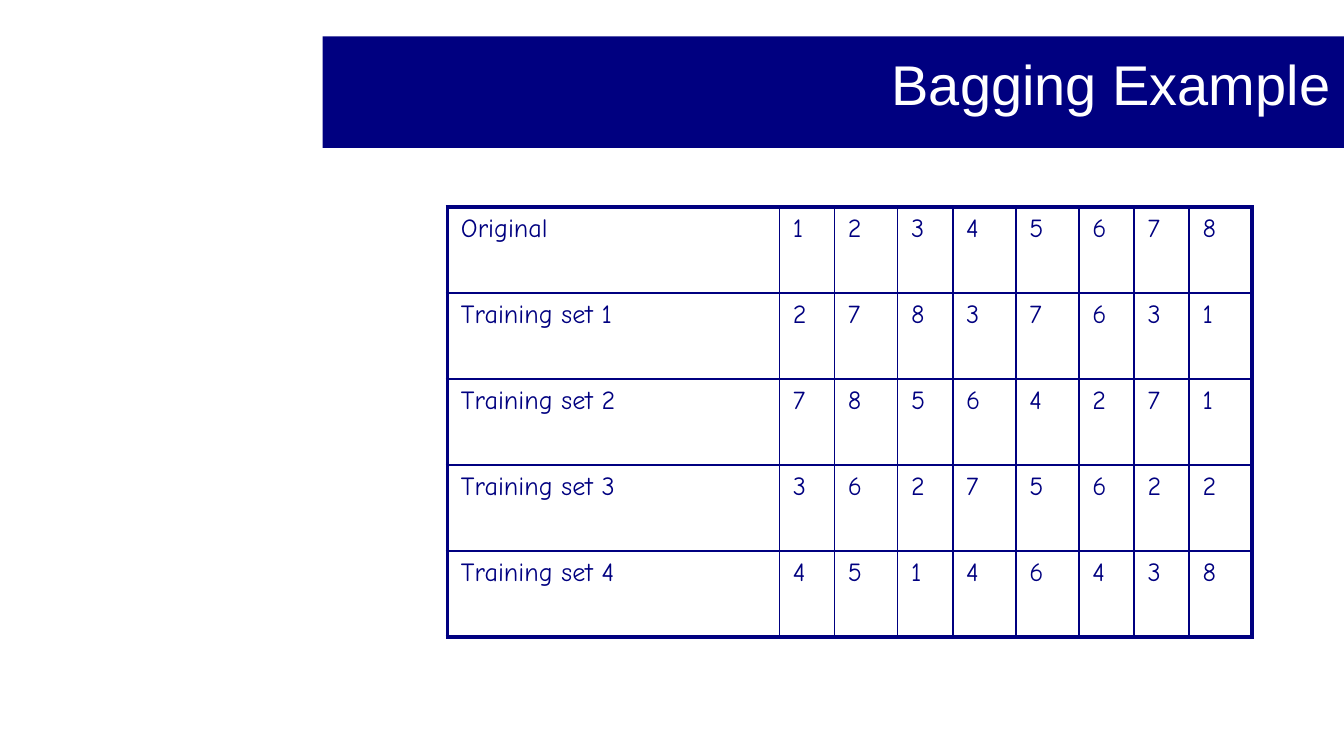
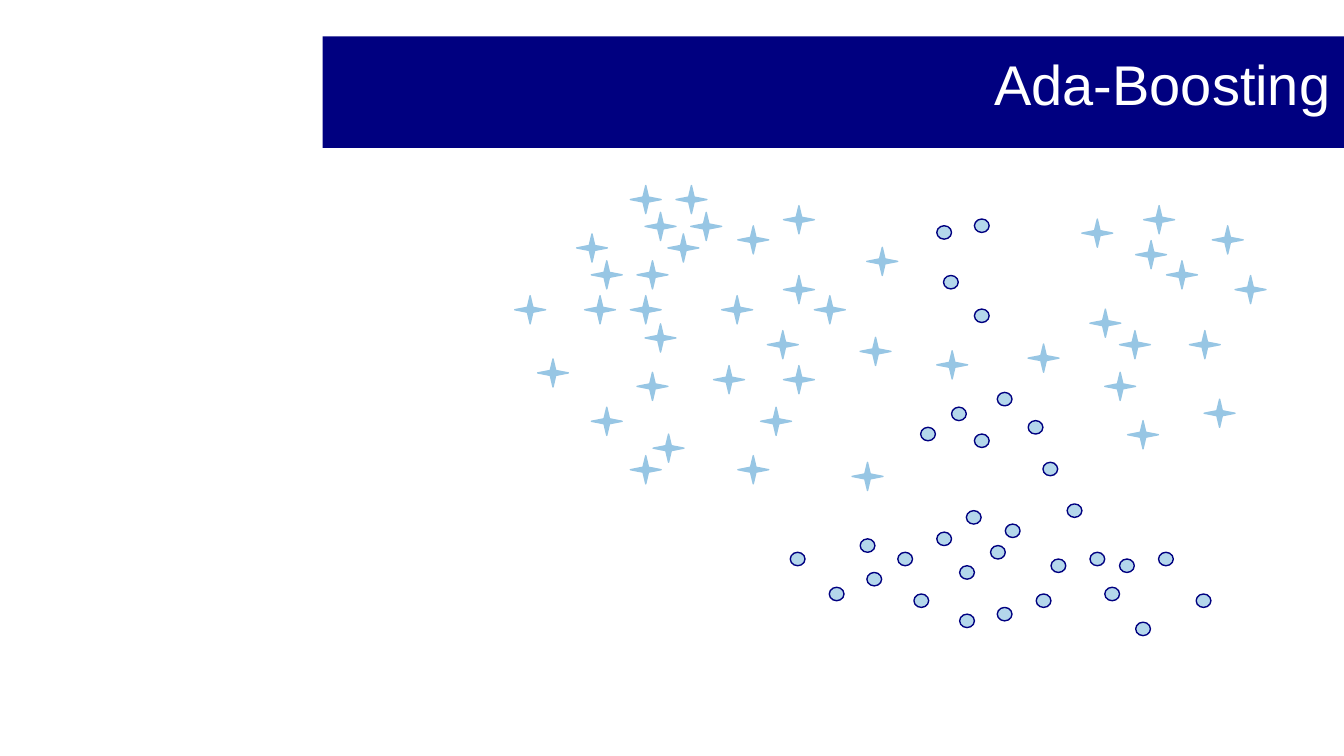
from dataclasses import dataclass

from lxml import etree
from pptx import Presentation
from pptx import util as u
from pptx.dml.color import RGBColor
from pptx.enum import shapes, text
from pptx.oxml import ns


@dataclass(frozen=True)
class Theme:
    navy: str = "000080"
    white: str = "FFFFFF"
    dot_blue: str = "B4D7EB"
    star_blue: str = "97C6E4"
    title_font: str = "Arial"
    body_font: str = "Comic Neue"
    title_size: float = 30
    body_size: float = 14
    thin: float = 1
    thick: float = 2.25
    outline: float = 0.75


def write_text(frame, content, *, font, size, color,
               align=text.PP_ALIGN.LEFT, before=0, spacing=None):
    """Put one formatted paragraph into a text frame."""
    paragraph = frame.paragraphs[0]
    paragraph.alignment = align
    paragraph.space_before = u.Pt(before)
    if spacing:
        paragraph.line_spacing = spacing
    run = paragraph.add_run()
    run.text = content
    run.font.name = font
    run.font.size = u.Pt(size)
    run.font.color.rgb = RGBColor.from_string(color)


class Deck:
    def __init__(self, theme):
        self.theme = theme
        self.presentation = Presentation()
        # Widescreen, 16 to 9
        self.presentation.slide_width = u.Inches(10)
        self.presentation.slide_height = u.Inches(10 * 9 / 16)
        self.slide = None

    def add_slide(self, title):
        """Start a slide with its title band."""
        layout = self.presentation.slide_layouts.get_by_name("Title Only")
        self.slide = self.presentation.slides.add_slide(layout)
        band = self.slide.shapes.title
        band.left, band.top = u.Inches(2.4), u.Inches(0.27)
        band.width, band.height = u.Inches(7.6), u.Inches(0.83)
        band.fill.solid()
        band.fill.fore_color.rgb = RGBColor.from_string(self.theme.navy)
        frame = band.text_frame
        frame.word_wrap = True
        frame.auto_size = text.MSO_AUTO_SIZE.NONE
        frame.vertical_anchor = text.MSO_ANCHOR.MIDDLE
        frame.margin_left = frame.margin_right = frame.margin_top = u.Inches(0.1)
        frame.margin_bottom = u.Inches(0.17)
        write_text(frame, title, font=self.theme.title_font,
                   size=self.theme.title_size, color=self.theme.white,
                   align=text.PP_ALIGN.RIGHT, spacing=0.9)

    def add_border(self, cell, side, width):
        properties = cell._tc.get_or_add_tcPr()
        line = etree.SubElement(properties, ns.qn(f"a:ln{side}"), w=str(u.Pt(width)))
        fill = etree.SubElement(line, ns.qn("a:solidFill"))
        etree.SubElement(fill, ns.qn("a:srgbClr"), val=self.theme.navy)

    def add_table(self, rows, left, top, column_widths, row_height):
        """Draw a grid with thin inner lines and a thick frame."""
        last_row, last_column = len(rows) - 1, len(column_widths) - 1
        table = self.slide.shapes.add_table(
            len(rows), len(column_widths), u.Inches(left), u.Inches(top),
            u.Inches(sum(column_widths)), u.Inches(row_height * len(rows))).table
        table.first_row = table.horz_banding = False
        for column, width in zip(table.columns, column_widths):
            column.width = u.Inches(width)
        for i, row in enumerate(rows):
            table.rows[i].height = u.Inches(row_height)
            for j, value in enumerate(row):
                cell = table.cell(i, j)
                write_text(cell.text_frame, str(value), font=self.theme.body_font,
                           size=self.theme.body_size, color=self.theme.navy,
                           before=0.2 * self.theme.body_size)
                on_frame = {"L": j == 0, "R": j == last_column,
                            "T": i == 0, "B": i == last_row}
                for side, outer in on_frame.items():
                    self.add_border(cell, side,
                                    self.theme.thick if outer else self.theme.thin)
                cell.fill.background()

    def add_group(self):
        return self.slide.shapes.add_group_shape()

    def add_markers(self, group, kind, points, size, fill, line, adjustment=None):
        """Scatter equal shapes, given their top left corners."""
        width, height = size
        for left, top in points:
            shape = group.shapes.add_shape(kind, u.Inches(left), u.Inches(top),
                                           u.Inches(width), u.Inches(height))
            shape.shadow.inherit = False
            shape.fill.solid()
            shape.fill.fore_color.rgb = RGBColor.from_string(fill)
            shape.line.color.rgb = RGBColor.from_string(line)
            shape.line.width = u.Pt(self.theme.outline)
            if adjustment is not None:
                shape.adjustments[0] = adjustment


SAMPLES = [
    ("Original", 1, 2, 3, 4, 5, 6, 7, 8),
    ("Training set 1", 2, 7, 8, 3, 7, 6, 3, 1),
    ("Training set 2", 7, 8, 5, 6, 4, 2, 7, 1),
    ("Training set 3", 3, 6, 2, 7, 5, 6, 2, 2),
    ("Training set 4", 4, 5, 1, 4, 6, 4, 3, 8),
]

DOTS = [
    (6.4, 4.01), (6.45, 4.26), (7.25, 2.3), (7.76, 3.44), (7.48, 3.9),
    (7.14, 4.21), (7.42, 2.92), (7.37, 4.06), (6.97, 3.96), (6.85, 3.18),
    (5.88, 4.11), (6.8, 4.42), (7.25, 3.23), (7.14, 4.57), (6.17, 4.37),
    (7.42, 4.52), (7.08, 3.03), (7.82, 4.16), (7.94, 3.75), (8.11, 4.11),
    (8.33, 4.16), (8.22, 4.37), (8.62, 4.11), (7.02, 2.05), (7.71, 4.42),
    (7.25, 1.63), (6.68, 4.11), (7.19, 3.8), (7.65, 3.13), (8.45, 4.63),
    (6.97, 1.68), (8.9, 4.42),
]

STARS = [
    (8.33, 2.46), (8.11, 2.3), (7.65, 2.56), (8.85, 2.46), (5.83, 2.72),
    (5.37, 2.2), (6.97, 2.61), (5.31, 2.72), (8.39, 3.13), (8.22, 2.77),
    (4.74, 2.77), (4.35, 2.2), (4, 2.67), (4.69, 2.2), (4.8, 2.41),
    (4.97, 1.74), (5.49, 1.68), (5.83, 2.05), (5.03, 1.38), (5.14, 1.58),
    (6.06, 2.2), (4.29, 1.74), (4.4, 1.94), (6.4, 2.51), (4.74, 1.94),
    (8.68, 1.94), (5.66, 3.03), (4.69, 1.38), (4.8, 1.58), (8.51, 1.53),
    (6.34, 3.44), (6.45, 1.84), (5.49, 3.39), (5.71, 2.46), (8.45, 1.79),
    (5.83, 1.53), (8.05, 1.63), (3.83, 2.2), (4.69, 3.39), (9.02, 1.68),
    (4.4, 3.03), (9.19, 2.05), (8.96, 2.97), (4.86, 3.23),
]


def main():
    theme = Theme()
    deck = Deck(theme)

    # Bootstrap samples
    deck.add_slide("Bagging Example")
    narrow, wide = 0.41, 0.47
    deck.add_table(SAMPLES, 3.33, 1.54,
                   [2.47, narrow, wide, narrow, wide, wide, narrow, narrow, wide],
                   0.64)

    # Two classes of points
    deck.add_slide("Ada-Boosting")
    scatter = deck.add_group()
    deck.add_markers(scatter, shapes.MSO_SHAPE.OVAL, DOTS, (0.11, 0.1),
                     theme.dot_blue, theme.navy)
    deck.add_markers(scatter, shapes.MSO_SHAPE.STAR_4_POINT, STARS, (0.23, 0.21),
                     theme.star_blue, theme.star_blue, adjustment=0.125)

    deck.presentation.save("out.pptx")


if __name__ == "__main__":
    main()
